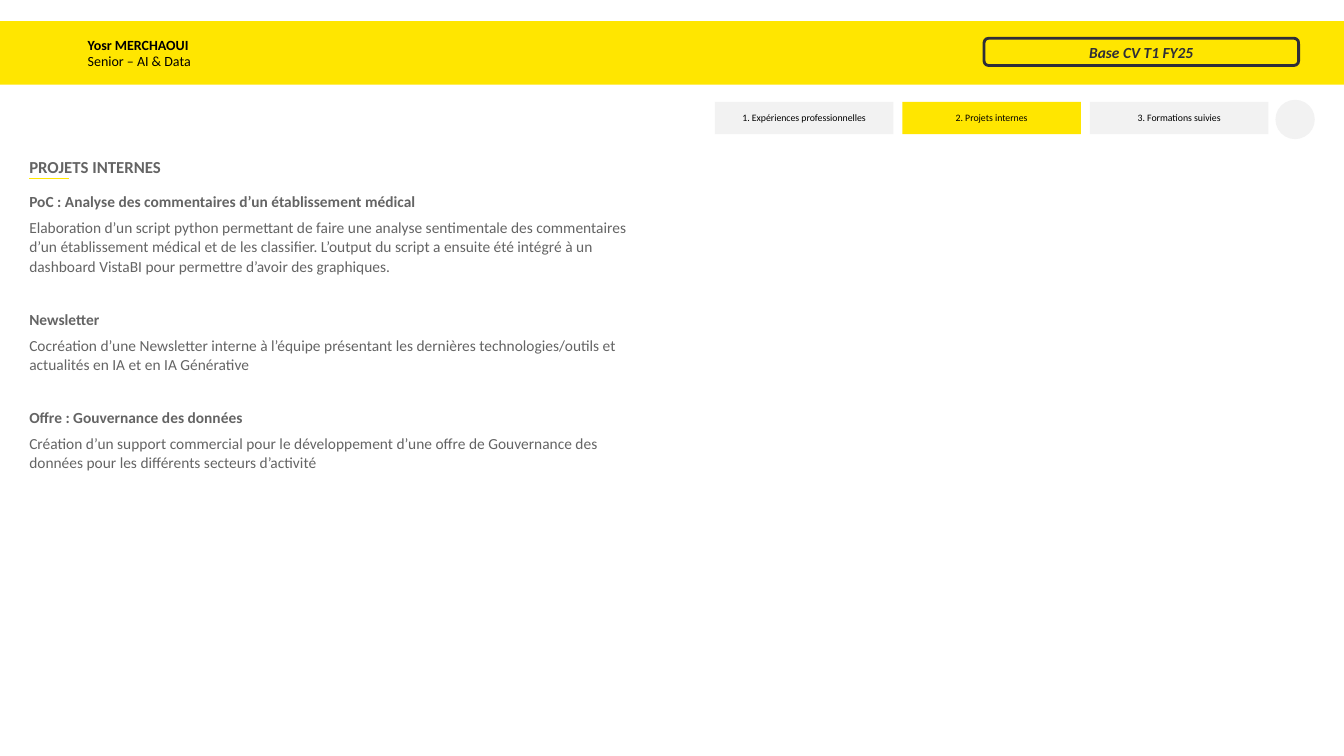
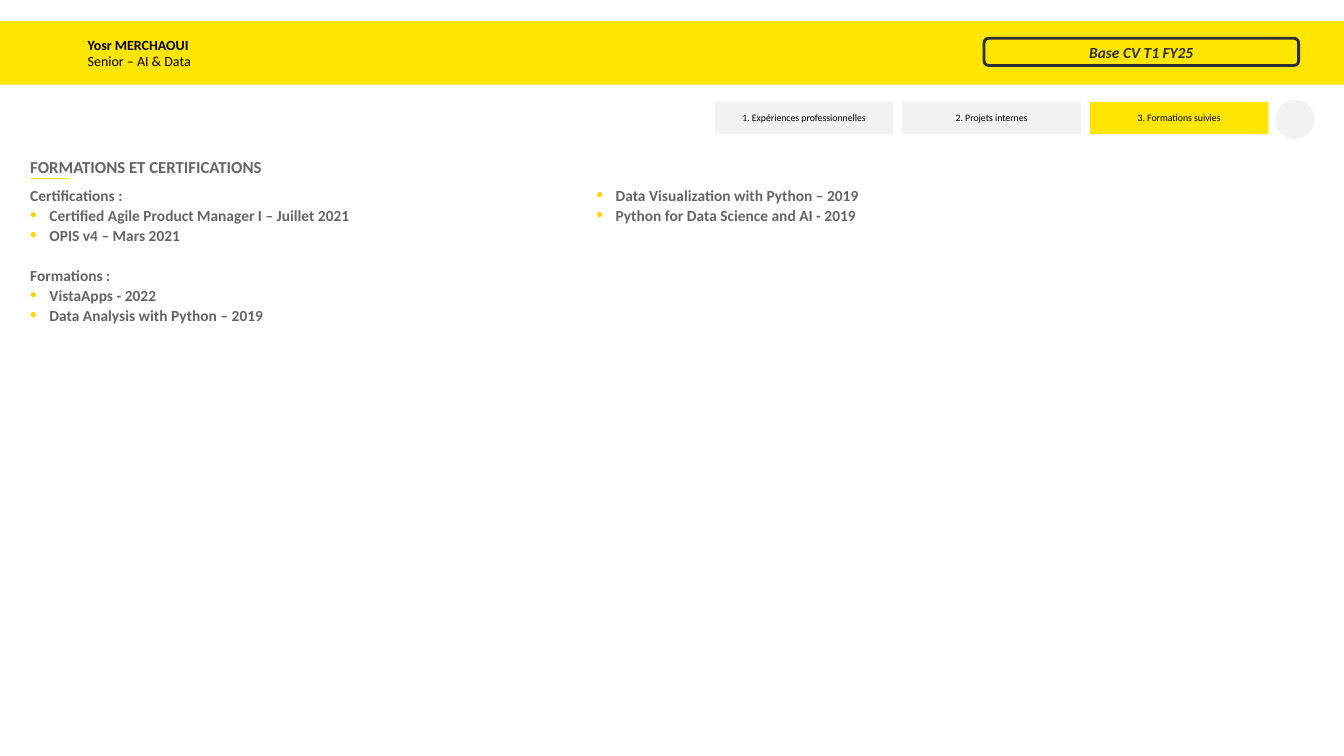
from lxml import etree
from pptx import Presentation
from pptx.dml.color import RGBColor
from pptx.enum.shapes import MSO_CONNECTOR, MSO_SHAPE
from pptx.enum.text import MSO_ANCHOR, MSO_AUTO_SIZE, PP_ALIGN
from pptx.oxml.ns import qn
from pptx.util import Inches, Pt

RECTANGLE, ROUNDED, OVAL = MSO_SHAPE.RECTANGLE, MSO_SHAPE.ROUNDED_RECTANGLE, MSO_SHAPE.OVAL
LEFT, CENTER = PP_ALIGN.LEFT, PP_ALIGN.CENTER
MIDDLE, NO_FIT = MSO_ANCHOR.MIDDLE, MSO_AUTO_SIZE.NONE
STRAIGHT = MSO_CONNECTOR.STRAIGHT

FONT = "Calibri"
YELLOW, BULLET_YELLOW = "FFE600", "FFD200"
PALE, GREY, DARK, BLACK = "F2F2F2", "646464", "2E2E38", "000000"
TABS = ["1. Expériences professionnelles", "2. Projets internes", "3. Formations suivies"]
TAB_LEFT, TAB_STEP = 7.09, 1.86

# Body lines: text and paragraph format
HEADING = dict(bold=True, line=1.07, after=4.5)
NEXT_HEADING = dict(HEADING, before=18.7)
DETAIL = dict(HEADING, bold=False)
LABEL = dict(bold=True, line=Pt(9.8), after=4.5)
NEXT_LABEL = dict(LABEL, before=14.3)
ITEM = dict(LABEL, bullet=True)

PAGES = [
    dict(
        title="PROJETS INTERNES", active=1, left=0.29, body=(1.89, 12.28, 5.4),
        lines=[
            ("PoC : Analyse des commentaires d’un établissement médical", HEADING),
            ("Elaboration d’un script python permettant de faire une analyse sentimentale des "
             "commentaires d’un établissement médical et de les classifier. L’output du script a "
             "ensuite été intégré à un dashboard VistaBI pour permettre d’avoir des graphiques.", DETAIL),
            ("Newsletter", NEXT_HEADING),
            ("Cocréation d’une Newsletter interne à l’équipe présentant les dernières "
             "technologies/outils et actualités en IA et en IA Générative", DETAIL),
            ("Offre : Gouvernance des données", NEXT_HEADING),
            ("Création d’un support commercial pour le développement d’une offre de Gouvernance "
             "des données pour les différents secteurs d’activité", DETAIL),
        ]),
    dict(
        title="FORMATIONS ET CERTIFICATIONS", active=2, left=0.3, body=(1.89, 11.15, 1.38),
        lines=[
            ("Certifications :", LABEL),
            ("Certified Agile Product Manager I – Juillet 2021", ITEM),
            ("OPIS v4 – Mars 2021", ITEM),
            ("Formations :", NEXT_LABEL),
            ("VistaApps - 2022", ITEM),
            ("Data Analysis with Python – 2019", ITEM),
            ("Data Visualization with Python – 2019", ITEM),
            ("Python for Data Science and AI - 2019", ITEM),
        ]),
]


def rgb(value):
    return RGBColor.from_string(value)


def write(frame, text, size=11, color=GREY, bold=False, italic=False, align=LEFT,
          line=None, before=0, after=0, bullet=False):
    """Fill the empty first paragraph of a frame, or add one below the last."""
    para = frame.paragraphs[0] if not frame.text else frame.add_paragraph()
    para.alignment = align
    para.line_spacing = line
    para.space_before, para.space_after = Pt(before), Pt(after)
    span = para.add_run()
    span.text = text
    font = span.font
    font.name, font.size, font.bold, font.italic = FONT, Pt(size), bold, italic
    font.color.rgb = rgb(color)
    if bullet:
        props = para._p.get_or_add_pPr()
        props.set("marL", str(Inches(0.19)))
        props.set("indent", str(-Inches(0.19)))
        bullet_color = etree.SubElement(props, qn("a:buClr"))
        etree.SubElement(bullet_color, qn("a:srgbClr"), val=BULLET_YELLOW)
        etree.SubElement(props, qn("a:buSzPct"), val="125000")
        etree.SubElement(props, qn("a:buFont"), typeface="Arial")
        etree.SubElement(props, qn("a:buChar"), char="•")


deck = Presentation()
deck.slide_width, deck.slide_height = Inches(13.33), Inches(7.5)

for content in PAGES:
    page = deck.slides.add_slide(deck.slide_layouts[5])
    left = content["left"]

    # Header band, navigation tabs, disc and badge
    panels = [(RECTANGLE, (0, 0.21, 13.33, 0.63), YELLOW, 0.87,
               [("Yosr MERCHAOUI", dict(size=10, color=BLACK, bold=True)),
                ("Senior – AI & Data", dict(size=10, color=BLACK))])]
    for index, label in enumerate(TABS):
        fill = YELLOW if index == content["active"] else PALE
        panels.append((RECTANGLE, (TAB_LEFT + index * TAB_STEP, 1.01, 1.77, 0.32), fill, 0,
                       [(label, dict(size=7, color=BLACK, align=CENTER))]))
    panels.append((OVAL, (12.65, 0.99, 0.39, 0.39), PALE, 0, []))
    panels.append((ROUNDED, (9.76, 0.38, 3.12, 0.27), None, 0,
                   [("Base CV T1 FY25",
                     dict(color=DARK, bold=True, italic=True, align=CENTER))]))

    for kind, place, fill, inset, lines in panels:
        panel = page.shapes.add_shape(kind, *map(Inches, place))
        panel.shadow.inherit = False
        if fill:
            panel.fill.solid()
            panel.fill.fore_color.rgb = rgb(fill)
            panel.line.fill.background()
        else:
            panel.fill.background()
            panel.line.color.rgb = rgb(DARK)
            panel.line.width = Pt(2)
        frame = panel.text_frame
        frame.vertical_anchor = MIDDLE
        frame.margin_left, frame.margin_right = Inches(inset), 0
        for text, style in lines:
            write(frame, text, **style)

    # Title and body
    title = page.shapes.title
    title.left, title.top, title.width, title.height = map(Inches, (left, 1.52, 7.3, 0.26))
    body = page.shapes.add_textbox(Inches(left), *map(Inches, content["body"]))
    for box in (title, body):
        frame = box.text_frame
        frame.word_wrap = True
        frame.auto_size = NO_FIT
        frame.margin_left = frame.margin_right = frame.margin_top = frame.margin_bottom = 0
    title.text_frame.vertical_anchor = MIDDLE
    write(title.text_frame, content["title"], size=12, bold=True)

    columns = body.text_frame._txBody.bodyPr
    columns.set("numCol", "2")
    columns.set("spcCol", str(Inches(0.08)))
    for text, style in content["lines"]:
        write(body.text_frame, text, **style)

    # Short rule under the title
    rule = page.shapes.add_connector(STRAIGHT, Inches(left + 0.39), Inches(1.77),
                                     Inches(left), Inches(1.77))
    rule.line.color.rgb = rgb(YELLOW)
    rule.line.width = Pt(1)
    etree.SubElement(rule._element.spPr, qn("a:effectLst"))

deck.save("out.pptx")
